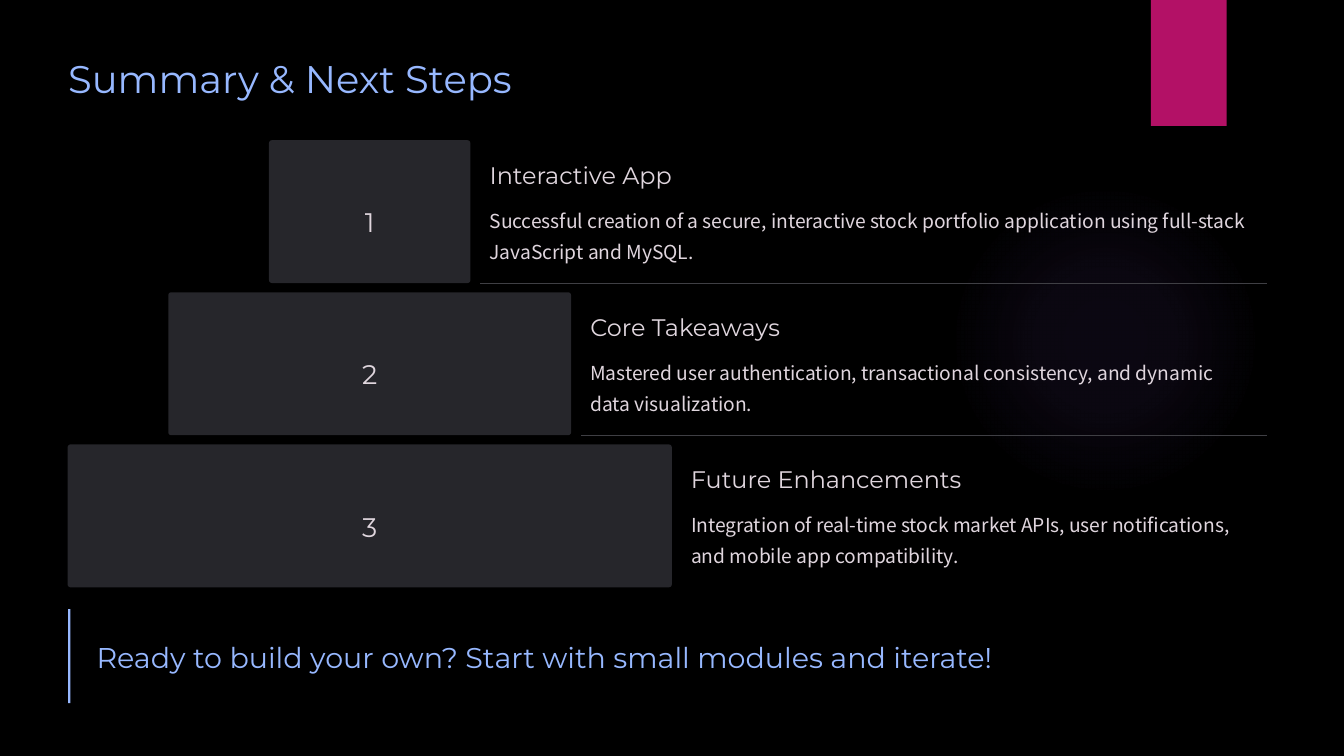
from dataclasses import dataclass

import pptx
import pptx.dml.color
import pptx.enum.shapes
import pptx.enum.text
import pptx.oxml
import pptx.oxml.ns
import pptx.presentation
import pptx.shapes.autoshape
import pptx.slide
import pptx.util
from pptx.util import Cm

SHAPE = pptx.enum.shapes.MSO_SHAPE
ANCHOR = pptx.enum.text.MSO_ANCHOR
ALIGN = pptx.enum.text.PP_ALIGN
BACKGROUND, RIBBON, BLUE, PALE = "000000", "B31166", "97B8FF", "E0D6DE"
STEP_FILL, DIVIDER, GLOW = "26262B", "3F3F44", "9B6BF2"

LEFT = 2.06
PYRAMID_CENTRE, PYRAMID_TOP = 11.18, 4.24
STEP_WIDTH, STEP_HEIGHT, STEP_PITCH = 6.09, 4.32, 4.6
TEXT_RIGHT, DIVIDER_RIGHT = 38.0, 38.3


@dataclass(frozen=True)
class Box:
    """A rectangle in centimetres."""
    left: float
    top: float
    width: float
    height: float

    def lengths(self) -> tuple[Cm, Cm, Cm, Cm]:
        return Cm(self.left), Cm(self.top), Cm(self.width), Cm(self.height)


@dataclass(frozen=True)
class Style:
    font: str
    size: float
    line_spacing: float
    colour: str


@dataclass(frozen=True)
class Step:
    heading: str
    body: str


TITLE = Style("Montserrat", 33, 41, BLUE)
NUMBER = Style("Montserrat", 23, 37, PALE)
HEADING = Style("Montserrat", 20.5, 25.5, PALE)
BODY = Style("Noto Sans CJK TC", 16.5, 26.5, PALE)
CLOSING = Style("Montserrat", 24.5, 31, BLUE)

STEPS = [
    Step("Interactive App",
         "Successful creation of a secure, interactive stock portfolio "
         "application using full-stack JavaScript and MySQL."),
    Step("Core Takeaways",
         "Mastered user authentication, transactional consistency, "
         "and dynamic data visualization."),
    Step("Future Enhancements",
         "Integration of real-time stock market APIs, user notifications, "
         "and mobile app compatibility."),
]


def rgb(colour: str) -> pptx.dml.color.RGBColor:
    return pptx.dml.color.RGBColor.from_string(colour)


def write(shape: pptx.shapes.autoshape.Shape, text: str, style: Style,
          wrap: bool = False, align: ALIGN = ALIGN.LEFT,
          anchor: ANCHOR = ANCHOR.TOP, margin_top: float = 0) -> None:
    frame = shape.text_frame
    frame.auto_size = pptx.enum.text.MSO_AUTO_SIZE.NONE
    frame.word_wrap = wrap
    frame.vertical_anchor = anchor
    frame.margin_left = frame.margin_right = frame.margin_bottom = 0
    frame.margin_top = Cm(margin_top)
    paragraph = frame.paragraphs[0]
    paragraph.alignment = align
    paragraph.line_spacing = pptx.util.Pt(style.line_spacing)
    run = paragraph.add_run()
    run.text = text
    run.font.name = style.font
    run.font.size = pptx.util.Pt(style.size)
    run.font.color.rgb = rgb(style.colour)


def add_text(slide: pptx.slide.Slide, box: Box, text: str, style: Style,
             wrap: bool = False) -> None:
    write(slide.shapes.add_textbox(*box.lengths()), text, style, wrap)


def add_block(slide: pptx.slide.Slide, kind: SHAPE, box: Box,
              colour: str) -> pptx.shapes.autoshape.Shape:
    shape = slide.shapes.add_shape(kind, *box.lengths())
    shape.shadow.inherit = False
    shape.fill.solid()
    shape.fill.fore_color.rgb = rgb(colour)
    shape.line.fill.background()
    return shape


def add_glow(slide: pptx.slide.Slide, box: Box) -> None:
    """Draw a disc that fades out from its centre."""
    shape = add_block(slide, SHAPE.OVAL, box, GLOW)
    stops = "".join(
        f'<a:gs pos="{position * 1000}"><a:srgbClr val="{GLOW}">'
        f'<a:alpha val="{opacity * 1000}"/></a:srgbClr></a:gs>'
        for position, opacity in [(0, 7), (36, 6), (69, 0), (100, 0)])
    gradient = pptx.oxml.parse_xml(
        f'<a:gradFill {pptx.oxml.ns.nsdecls("a")}><a:gsLst>{stops}</a:gsLst>'
        '<a:path path="circle"><a:fillToRect l="50000" t="50000" r="50000" '
        'b="50000"/></a:path></a:gradFill>')
    properties = shape.element.spPr
    properties.replace(properties.find(pptx.oxml.ns.qn("a:solidFill")), gradient)


def add_divider(slide: pptx.slide.Slide, left: float, top: float) -> None:
    line = slide.shapes.add_connector(
        pptx.enum.shapes.MSO_CONNECTOR.STRAIGHT,
        Cm(left), Cm(top), Cm(DIVIDER_RIGHT), Cm(top))
    line.line.color.rgb = rgb(DIVIDER)
    line.line.width = pptx.util.Pt(0.75)
    line.element.spPr.append(pptx.oxml.parse_xml(
        f'<a:effectLst {pptx.oxml.ns.nsdecls("a")}/>'))


def add_step(slide: pptx.slide.Slide, index: int, step: Step) -> None:
    """Draw one level of the pyramid with its text to the right."""
    width = STEP_WIDTH * (index + 1)
    top = PYRAMID_TOP + STEP_PITCH * index
    right = PYRAMID_CENTRE + width / 2
    text_left = right + 0.58
    block = add_block(slide, SHAPE.ROUNDED_RECTANGLE,
                      Box(right - width, top, width, STEP_HEIGHT), STEP_FILL)
    block.adjustments[0] = 0.02
    write(block, str(index + 1), NUMBER, align=ALIGN.CENTER,
          anchor=ANCHOR.MIDDLE, margin_top=0.3)
    add_text(slide, Box(text_left, top + 0.58, 8, 0.91), step.heading, HEADING)
    add_text(slide, Box(text_left, top + 1.85, TEXT_RIGHT - text_left, 1.88),
             step.body, BODY, wrap=True)
    if index < len(STEPS) - 1:
        add_divider(slide, right + 0.3, top + STEP_HEIGHT)


def main() -> None:
    presentation = pptx.Presentation()
    presentation.slide_width, presentation.slide_height = Cm(40.64), Cm(22.86)
    slide = presentation.slides.add_slide(presentation.slide_layouts[5])
    slide.background.fill.solid()
    slide.background.fill.fore_color.rgb = rgb(BACKGROUND)

    add_glow(slide, Box(28.7, 5.59, 9.4, 9.4))
    add_block(slide, SHAPE.RECTANGLE, Box(34.8, 0, 2.29, 3.81), RIBBON)

    title = slide.shapes.title
    title.left, title.top, title.width, title.height = Box(
        LEFT, 1.6, 13.61, 1.47).lengths()
    write(title, "Summary & Next Steps", TITLE)

    for index, step in enumerate(STEPS):
        add_step(slide, index, step)

    add_text(slide, Box(2.92, 19.28, 27.76, 1.09),
             "Ready to build your own? Start with small modules and iterate!",
             CLOSING)
    add_block(slide, SHAPE.RECTANGLE, Box(LEFT, 18.42, 0.07, 2.84), BLUE)
    presentation.save("out.pptx")


if __name__ == "__main__":
    main()
